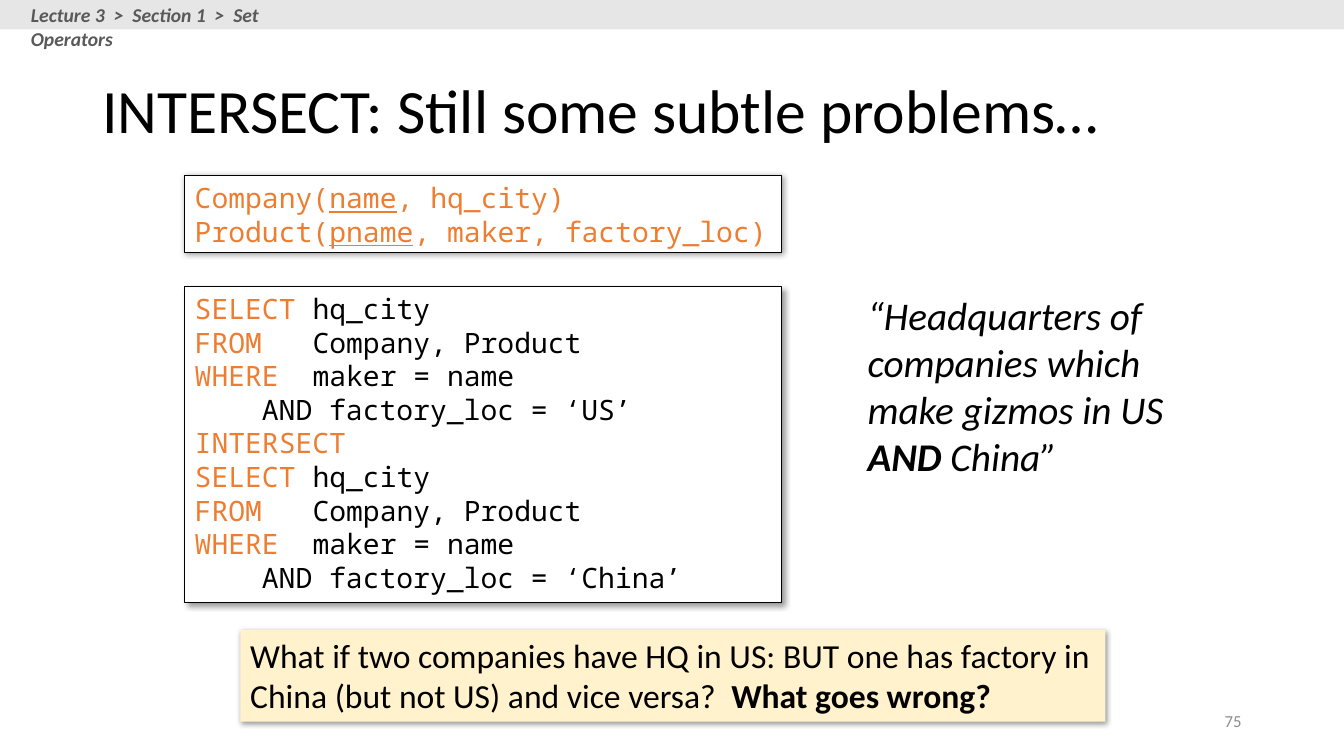
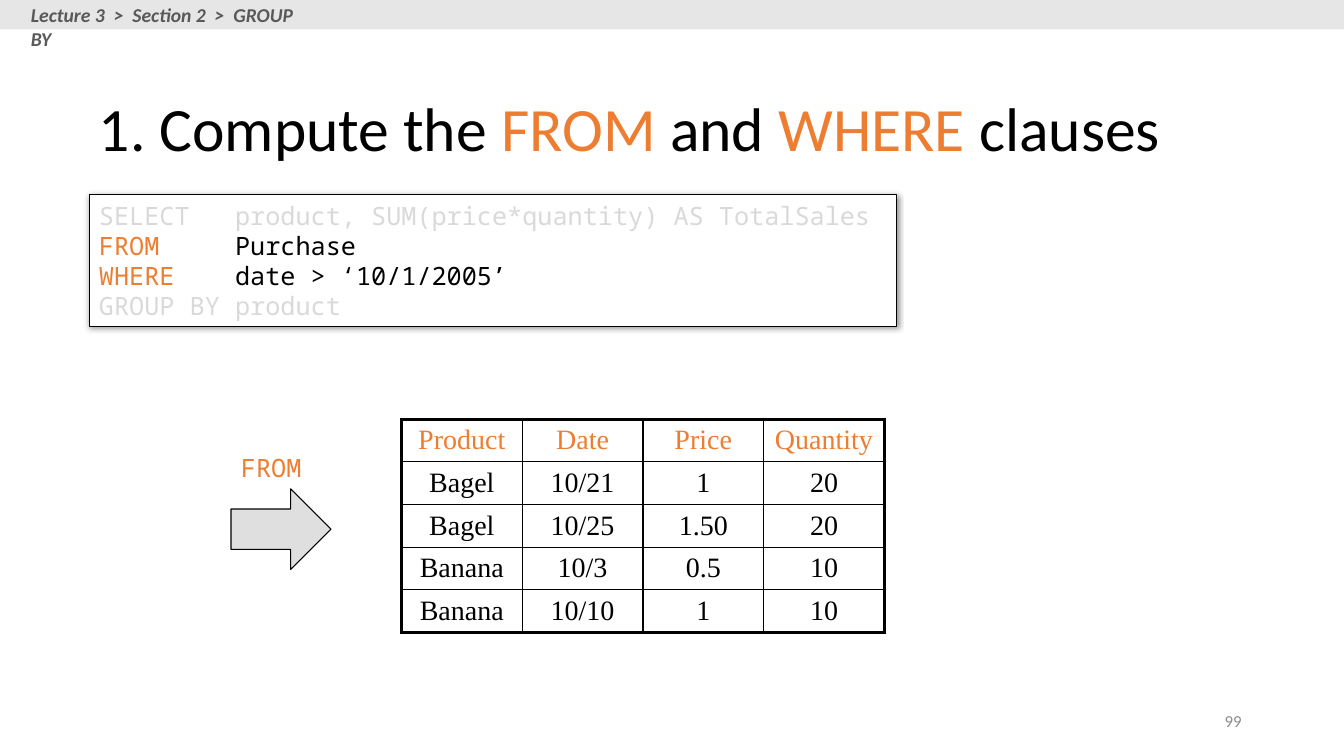
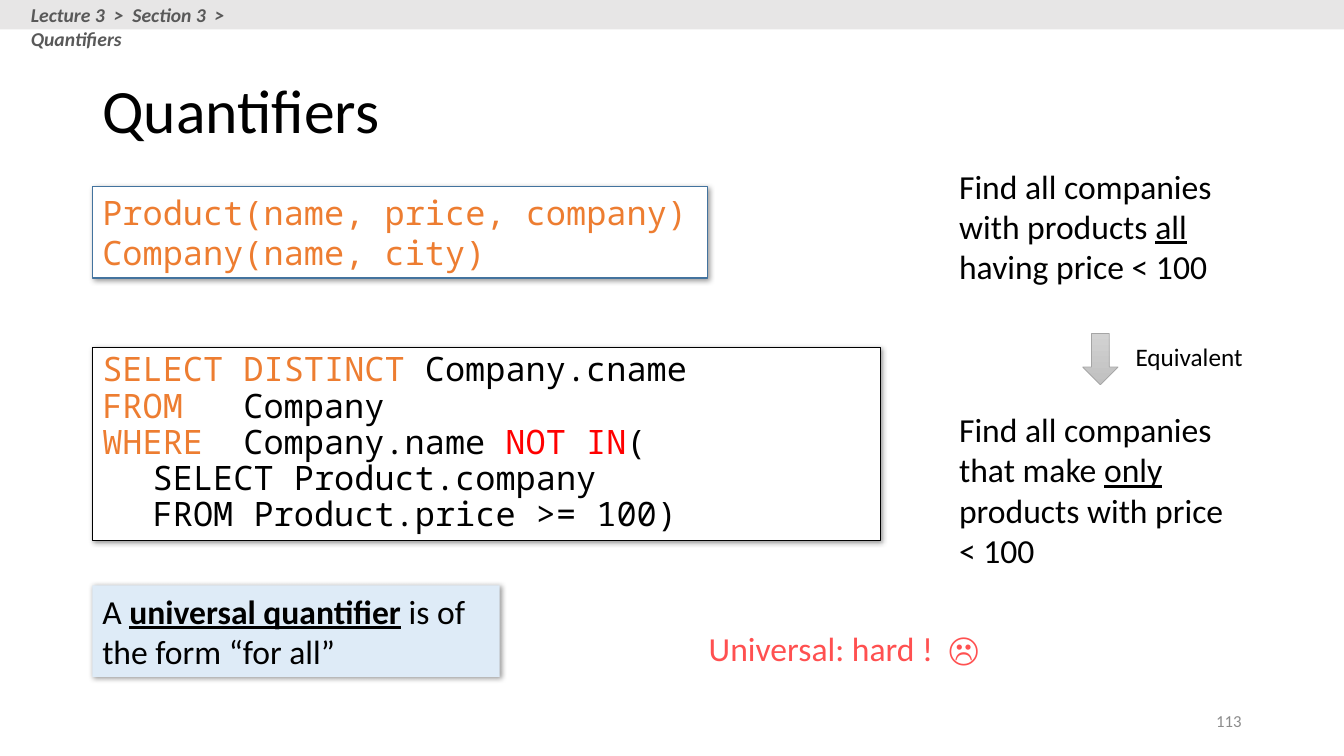
from lxml import etree
from pptx import Presentation
from pptx.dml.color import RGBColor
from pptx.enum.shapes import MSO_SHAPE
from pptx.enum.text import MSO_ANCHOR, PP_ALIGN
from pptx.oxml.ns import qn
from pptx.util import Emu, Inches, Pt

RECTANGLE = MSO_SHAPE.RECTANGLE
RIGHT_ARROW = MSO_SHAPE.RIGHT_ARROW
DOWN_ARROW = MSO_SHAPE.DOWN_ARROW
TOP, MIDDLE = MSO_ANCHOR.TOP, MSO_ANCHOR.MIDDLE
LEFT, CENTER, RIGHT = PP_ALIGN.LEFT, PP_ALIGN.CENTER, PP_ALIGN.RIGHT

BLACK = RGBColor(0x00, 0x00, 0x00)
WHITE = RGBColor(0xFF, 0xFF, 0xFF)
ORANGE = RGBColor(0xED, 0x7D, 0x31)
RED = RGBColor(0xFF, 0x00, 0x00)
CORAL = RGBColor(0xFF, 0x50, 0x50)
CREAM = RGBColor(0xFF, 0xF2, 0xCC)
PALE_BLUE = RGBColor(0xDE, 0xEB, 0xF7)
STEEL_BLUE = RGBColor(0x43, 0x73, 0x9E)
BAND_GRAY = RGBColor(0xE7, 0xE6, 0xE6)
CRUMB_GRAY = RGBColor(0x59, 0x59, 0x59)
NUMBER_GRAY = RGBColor(0x8C, 0x8C, 0x8C)
FADED = RGBColor(0xD9, 0xD9, 0xD9)
SILVER = RGBColor(0xC0, 0xC0, 0xC0)
LIGHT_SILVER = RGBColor(0xD2, 0xD2, 0xD2)
ARROW_EDGE = RGBColor(0xA5, 0xA5, 0xA5)

COLUMNS, ROWS = 160, 90
SANS, MONO, SERIF = "Calibri", "Noto Sans Mono", "Times New Roman"

KEYWORD = {"rgb": ORANGE}
DIM = {"rgb": FADED}
ALERT = {"rgb": RED}
BOLD = {"bold": True}
UNDERLINED = {"underline": True}
TIGHT = {"line_spacing": 0.9}


def look(name, size, rgb=BLACK, **extra):
    return {"name": name, "size": Pt(size), "rgb": rgb, **extra}


TITLE = look(SANS, 44)
BODY = look(SANS, 24)
CRUMB = look(SANS, 14, CRUMB_GRAY, bold=True, italic=True)
NUMBER = look(SANS, 12, NUMBER_GRAY)


class Lecture:
    def __init__(self):
        self.deck = Presentation()
        self.deck.slide_width = Inches(13.333)
        self.deck.slide_height = Inches(7.5)
        self.slide = None

    def across(self, columns):
        return Emu(round(self.deck.slide_width * columns / COLUMNS))

    def down(self, rows):
        return Emu(round(self.deck.slide_height * rows / ROWS))

    def place(self, area):
        left, top, width, height = area
        return (self.across(left), self.down(top),
                self.across(width), self.down(height))

    def start(self, section, topic, number, title, area=(11, 4.8, 138, 17.4)):
        self.slide = self.deck.slides.add_slide(self.deck.slide_layouts[6])
        self.shape(RECTANGLE, (0, 0, COLUMNS, 3.5), BAND_GRAY)
        crumbs = "  >  ".join(("Lecture 3", f"Section {section}", topic))
        self.text((2.5, -0.2, 34.8, 4.1), [[crumbs]], CRUMB)
        self.text(area, [title], TITLE, MIDDLE, TIGHT)
        self.text((113, 83.4, 36, 4.8), [[str(number)]], NUMBER, MIDDLE,
                  {"alignment": RIGHT})

    def set_text(self, frame, lines, style, anchor=TOP, layout=None):
        frame.word_wrap = True
        frame.vertical_anchor = anchor
        for index, line in enumerate(lines):
            para = frame.add_paragraph() if index else frame.paragraphs[0]
            for name, value in {"alignment": LEFT, **(layout or {})}.items():
                setattr(para, name, value)
            for part in line:
                words, change = (part, {}) if isinstance(part, str) else part
                span = para.add_run()
                span.text = words
                for name, value in {**style, **change}.items():
                    owner = span.font.color if name == "rgb" else span.font
                    setattr(owner, name, value)

    def text(self, area, lines, style, anchor=TOP, layout=None):
        box = self.slide.shapes.add_textbox(*self.place(area))
        self.set_text(box.text_frame, lines, style, anchor, layout)

    def shape(self, kind, area, fill, edge=None, weight=0.75):
        box = self.slide.shapes.add_shape(kind, *self.place(area))
        box.shadow.inherit = False
        box.fill.solid()
        box.fill.fore_color.rgb = fill
        if edge is None:
            box.line.fill.background()
        else:
            box.line.color.rgb = edge
            box.line.width = Pt(weight)
        return box

    def panel(self, area, lines, style, fill=WHITE, edge=None, depth=1,
              layout=None):
        box = self.shape(RECTANGLE, area, fill, edge)
        effects = box.element.spPr.find(qn("a:effectLst"))
        shadow = etree.SubElement(
            effects, qn("a:outerShdw"), blurRad=str(Pt(4)),
            dist=str(Pt(depth)), dir="2700000", algn="tl", rotWithShape="0")
        color = etree.SubElement(shadow, qn("a:srgbClr"), val=str(BLACK))
        etree.SubElement(color, qn("a:alpha"), val="40000")
        self.set_text(box.text_frame, lines, style, layout=layout)

    def clear_arrow(self, area):
        arrow = self.shape(RIGHT_ARROW, area, SILVER, BLACK)
        color = arrow.element.spPr.find(qn("a:solidFill"))[0]
        etree.SubElement(color, qn("a:alpha"), val="50000")

    def shaded_arrow(self, area):
        arrow = self.shape(DOWN_ARROW, area, SILVER, ARROW_EDGE, 0.5)
        arrow.fill.gradient()
        arrow.fill.gradient_angle = 270
        for stop, color in zip(arrow.fill.gradient_stops,
                               (LIGHT_SILVER, SILVER)):
            stop.color.rgb = color

    def table(self, area, rows):
        height, width = len(rows), len(rows[0])
        frame = self.slide.shapes.add_table(height, width, *self.place(area))
        table = frame.table
        table.first_row = table.horz_banding = False
        for r, row in enumerate(rows):
            for c, value in enumerate(row):
                cell = table.cell(r, c)
                for side in ("left", "right", "top", "bottom"):
                    setattr(cell, f"margin_{side}", Inches(0.04))
                cell.fill.background()
                cell.vertical_anchor = MIDDLE
                style = look(SERIF, 20, BLACK if r else ORANGE)
                self.set_text(cell.text_frame, [[value]], style, MIDDLE,
                              {"alignment": CENTER})
                outer = {"lnL": c == 0, "lnR": c == width - 1,
                         "lnT": r == 0, "lnB": r == height - 1}
                self.border(cell, outer)

    def border(self, cell, outer):
        properties = cell._tc.get_or_add_tcPr()
        for index, (side, thick) in enumerate(outer.items()):
            line = etree.Element(qn(f"a:{side}"),
                                 w=str(Pt(2.25 if thick else 1)))
            fill = etree.SubElement(line, qn("a:solidFill"))
            etree.SubElement(fill, qn("a:srgbClr"), val=str(BLACK))
            properties.insert(index, line)


def factory_query(country):
    return [
        [("SELECT ", KEYWORD), "hq_city"],
        [("FROM  ", KEYWORD), " Company, Product"],
        [("WHERE ", KEYWORD), " maker = name"],
        [f"\t AND factory_loc = ‘{country}’"],
    ]


def intersect_slide(lecture):
    lecture.start(1, "Set Operators", 75,
                  ["INTERSECT: Still some subtle problems…"])
    lecture.panel((22, 20.9, 71, 9.2), [
        ["Company(", ("name", UNDERLINED), ", hq_city)"],
        ["Product(", ("pname", UNDERLINED), ", maker, factory_loc)"],
    ], look(MONO, 20, ORANGE), edge=BLACK)
    query = [*factory_query("US"), [("INTERSECT", KEYWORD)],
             *factory_query("China")]
    lecture.panel((22, 34.1, 71, 37.6), query, look(MONO, 20),
                  edge=BLACK, depth=3)
    lecture.panel((28.6, 75, 103, 10.9), [[
        "What if two companies have HQ in US: BUT one has factory in "
        "China (but not US) and vice versa?  ",
        ("What goes wrong?", BOLD),
    ]], BODY, CREAM)
    lecture.text((102.1, 34.1, 39.5, 23.9), [[
        "“Headquarters of companies which make gizmos in US ",
        ("AND", BOLD), " China”",
    ]], look(SANS, 28, italic=True))


def group_by_slide(lecture):
    lecture.start(2, "GROUP BY", 99, [
        "1. Compute the ", ("FROM", KEYWORD), " and ", ("WHERE", KEYWORD),
        " clauses",
    ], (10.6, 8.2, 132, 15))
    lecture.panel((10.6, 23.2, 96.1, 15.7), [
        [("SELECT   product, SUM(price*quantity) AS TotalSales", DIM)],
        [("FROM     ", KEYWORD), "Purchase"],
        [("WHERE    ", KEYWORD), "date > ‘10/1/2005’"],
        [("GROUP BY product", DIM)],
    ], look(MONO, 18), edge=BLACK)
    lecture.text((27.5, 53.3, 10, 4.8), [["FROM"]], look(MONO, 18, ORANGE))
    lecture.clear_arrow((27.5, 58.2, 11.9, 9.6))
    lecture.table((47.8, 49.9, 57.5, 25.4), [
        ("Product", "Date", "Price", "Quantity"),
        ("Bagel", "10/21", "1", "20"),
        ("Bagel", "10/25", "1.50", "20"),
        ("Banana", "10/3", "0.5", "10"),
        ("Banana", "10/10", "1", "10"),
    ])


def quantifiers_slide(lecture):
    lecture.start(3, "Quantifiers", 113, ["Quantifiers"])
    lecture.panel((11, 22.2, 73.2, 10.9), [
        ["Product(name, price, company)"],
        ["Company(name, city)"],
    ], look(MONO, 24, ORANGE), edge=STEEL_BLUE)
    lecture.panel((11, 41.4, 93.8, 23), [
        [("SELECT DISTINCT ", KEYWORD), "Company.cname"],
        [("FROM   ", KEYWORD), "Company"],
        [("WHERE  ", KEYWORD), "Company.name ", ("NOT IN", ALERT), "("],
        ["\tSELECT Product.company"],
        ["\tFROM Product.price >= 100)"],
    ], look(MONO, 24), edge=BLACK, layout=TIGHT)
    lecture.panel((11, 69.7, 48.5, 10.9), [[
        "A ", ("universal quantifier", {**BOLD, **UNDERLINED}),
        " is of the form “for all”",
    ]], BODY, PALE_BLUE)
    lecture.text((83.2, 74.2, 34.8, 6), [["Universal: hard !  ☹"]],
                 look(SANS, 24, CORAL))
    lecture.text((113, 19.1, 36, 15.7), [[
        "Find all companies with products ", ("all", UNDERLINED),
        " having price < 100",
    ]], BODY)
    lecture.shaded_arrow((128.9, 39.7, 4.2, 6.1))
    lecture.text((134, 40.1, 16, 4.8), [["Equivalent"]], look(SANS, 18))
    lecture.text((113, 48.1, 36, 20.6), [[
        "Find all companies that make ", ("only ", UNDERLINED),
        "products with price < 100",
    ]], BODY)


def main():
    lecture = Lecture()
    for build in (intersect_slide, group_by_slide, quantifiers_slide):
        build(lecture)
    lecture.deck.save("out.pptx")


if __name__ == "__main__":
    main()
